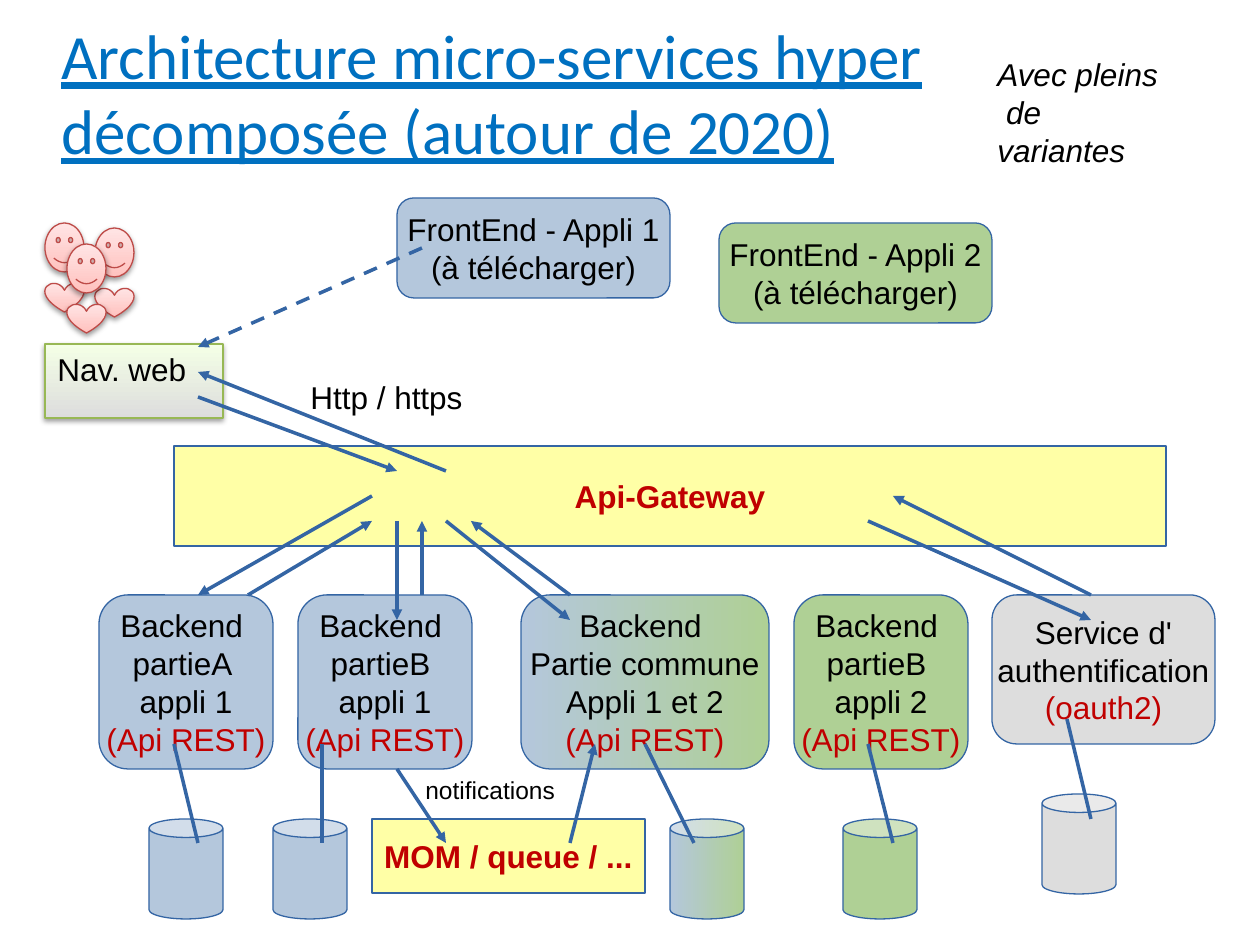
"""Build the slide on a finely decomposed micro-services architecture."""
from dataclasses import dataclass

from lxml.etree import SubElement
from pptx import Presentation
from pptx.dml.color import RGBColor
from pptx.enum.dml import MSO_LINE
from pptx.enum.shapes import MSO_CONNECTOR, MSO_SHAPE
from pptx.enum.text import MSO_ANCHOR, PP_ALIGN
from pptx.oxml.ns import qn
from pptx.util import Emu, Pt


@dataclass(frozen=True)
class Theme:
    title: str = "0070C0"
    ink: str = "000000"
    accent: str = "C00000"
    outline: str = "3465A4"
    app1: tuple = ("B4C7DC",)
    app2: tuple = ("AFD095",)
    shared: tuple = ("B4C7DC", "AFD095")
    auth: tuple = ("DDDDDD",)
    broker: tuple = ("FFFFA6",)
    browser: tuple = ("DDDDDD", "F4FFE6")
    browser_outline: str = "98B855"
    user: tuple = ("FFC1BE", "FFE5E5")
    user_outline: str = "BE4B48"
    heading_size: int = 36
    body_size: int = 18
    note_size: int = 14


theme = Theme()
PX = 914400 // 126
deck = Presentation()
deck.slide_width, deck.slide_height = Emu(1260 * PX), Emu(945 * PX)
slide = deck.slides.add_slide(deck.slide_layouts[6])


def add_part(kind, box, colours, outline=theme.outline, raised=False):
    part = slide.shapes.add_shape(kind, *(Emu(length * PX) for length in box))
    if len(colours) == 1:
        part.fill.solid()
        part.fill.fore_color.rgb = RGBColor.from_string(colours[0])
    else:
        part.fill.gradient()
        part.fill.gradient_angle = 90 if raised else 0
        for stop, colour, position in zip(part.fill.gradient_stops, colours, (0, 1)):
            stop.color.rgb = RGBColor.from_string(colour)
            stop.position = position
    part.line.color.rgb = RGBColor.from_string(outline)
    part.line.width = Pt(0.75 if raised else 0)
    part.shadow.inherit = False
    if raised:
        effects = part._element.spPr.find(qn("a:effectLst"))
        shadow = SubElement(effects, qn("a:outerShdw"), blurRad=str(Pt(3.1)),
                            dist=str(Pt(1.6)), dir="5400000", rotWithShape="0")
        black = SubElement(shadow, qn("a:srgbClr"), val=theme.ink)
        SubElement(black, qn("a:alpha"), val="38000")
    return part


def write(part, text, colour=theme.ink, last=None, size=theme.body_size, font="Arial",
          centred=True, **style):
    frame = part.text_frame
    frame.text = text
    frame.word_wrap = not centred
    frame.vertical_anchor = MSO_ANCHOR.MIDDLE if centred else MSO_ANCHOR.TOP
    for paragraph in frame.paragraphs:
        paragraph.alignment = PP_ALIGN.CENTER if centred else PP_ALIGN.LEFT
        paragraph.font.name, paragraph.font.size = font, Pt(size)
        for run in paragraph.runs:
            run.font.name, run.font.size = font, Pt(size)
            run.font.color.rgb = RGBColor.from_string(colour)
            for name, value in style.items():
                setattr(run.font, name, value)
    if last:
        for run in frame.paragraphs[-1].runs:
            run.font.color.rgb = RGBColor.from_string(last)


captions = [
    ((49, 10, 917, 139), "Architecture micro-services hyper décomposée (autour de 2020)",
     dict(colour=theme.title, size=theme.heading_size, font="Calibri", underline=True)),
    ((985, 49, 205, 83), "Avec pleins\n de variantes", dict(italic=True)),
    ((298, 372, 178, 48), "Http / https", {}),
    ((413, 769, 181, 49), "notifications", dict(size=theme.note_size)),
]
for box, text, style in captions:
    caption = slide.shapes.add_textbox(*(Emu(length * PX) for length in box))
    write(caption, text, centred=False, **style)

browser = add_part(MSO_SHAPE.RECTANGLE, (45, 344, 178, 74), theme.browser,
                   theme.browser_outline, True)
write(browser, "Nav. web", centred=False)

for left, top in ((45, 223), (95, 228), (67, 244)):
    for kind, offset, height in ((MSO_SHAPE.SMILEY_FACE, 0, 49), (MSO_SHAPE.HEART, 60, 29)):
        add_part(kind, (left, top + offset, 39, height), theme.user, theme.user_outline, True)

for number, left, top, colours in ((1, 397, 198, theme.app1), (2, 719, 223, theme.app2)):
    frontend = add_part(MSO_SHAPE.ROUNDED_RECTANGLE, (left, top, 273, 100), colours)
    write(frontend, f"FrontEnd - Appli {number}\n(à télécharger)")

brokers = [((174, 446, 992, 100), "Api-Gateway"), ((372, 819, 273, 74), "MOM / queue / ...")]
for box, text in brokers:
    write(add_part(MSO_SHAPE.RECTANGLE, box, theme.broker), text, theme.accent, bold=True)

backends = [
    (99, 174, 174, 149, 819, theme.app1, "Backend \npartieA \nappli 1\n(Api REST)"),
    (298, 174, 174, 273, 819, theme.app1, "Backend \npartieB \nappli 1\n(Api REST)"),
    (521, 248, 174, 670, 819, theme.shared, "Backend \nPartie commune\nAppli 1 et 2\n(Api REST)"),
    (794, 174, 174, 843, 819, theme.app2, "Backend \npartieB \nappli 2\n(Api REST)"),
    (992, 223, 149, 1042, 794, theme.auth, "Service d'\nauthentification\n(oauth2)"),
]
for left, width, height, store_left, store_top, colours, text in backends:
    backend = add_part(MSO_SHAPE.ROUNDED_RECTANGLE, (left, 595, width, height), colours)
    write(backend, text, last=theme.accent)
    add_part(MSO_SHAPE.CAN, (store_left, store_top, 74, 100), colours)

storage_links = [(174, 744, 198, 843), (322, 744, 322, 843), (645, 744, 694, 843),
                 (868, 744, 893, 843), (1067, 719, 1091, 819)]
download_links = [(422, 248, 198, 347)]
message_links = [
    (198, 397, 397, 471), (446, 471, 198, 372),
    (372, 496, 198, 595), (248, 595, 372, 521),
    (397, 521, 397, 620), (422, 595, 422, 521),
    (446, 521, 570, 620), (570, 595, 471, 521),
    (868, 521, 1091, 620), (1091, 595, 893, 496),
    (397, 769, 446, 843), (570, 843, 595, 744),
]
for links, arrow, dashed in ((storage_links, False, False), (download_links, True, True),
                             (message_links, True, False)):
    for ends in links:
        link = slide.shapes.add_connector(MSO_CONNECTOR.STRAIGHT,
                                          *(Emu(length * PX) for length in ends))
        link.line.color.rgb = RGBColor.from_string(theme.outline)
        link.line.width = Pt(0)
        if dashed:
            link.line.dash_style = MSO_LINE.DASH
        properties = link._element.spPr
        if arrow:
            SubElement(properties.find(qn("a:ln")), qn("a:tailEnd"), type="triangle")
        SubElement(properties, qn("a:effectLst"))

deck.save("out.pptx")
